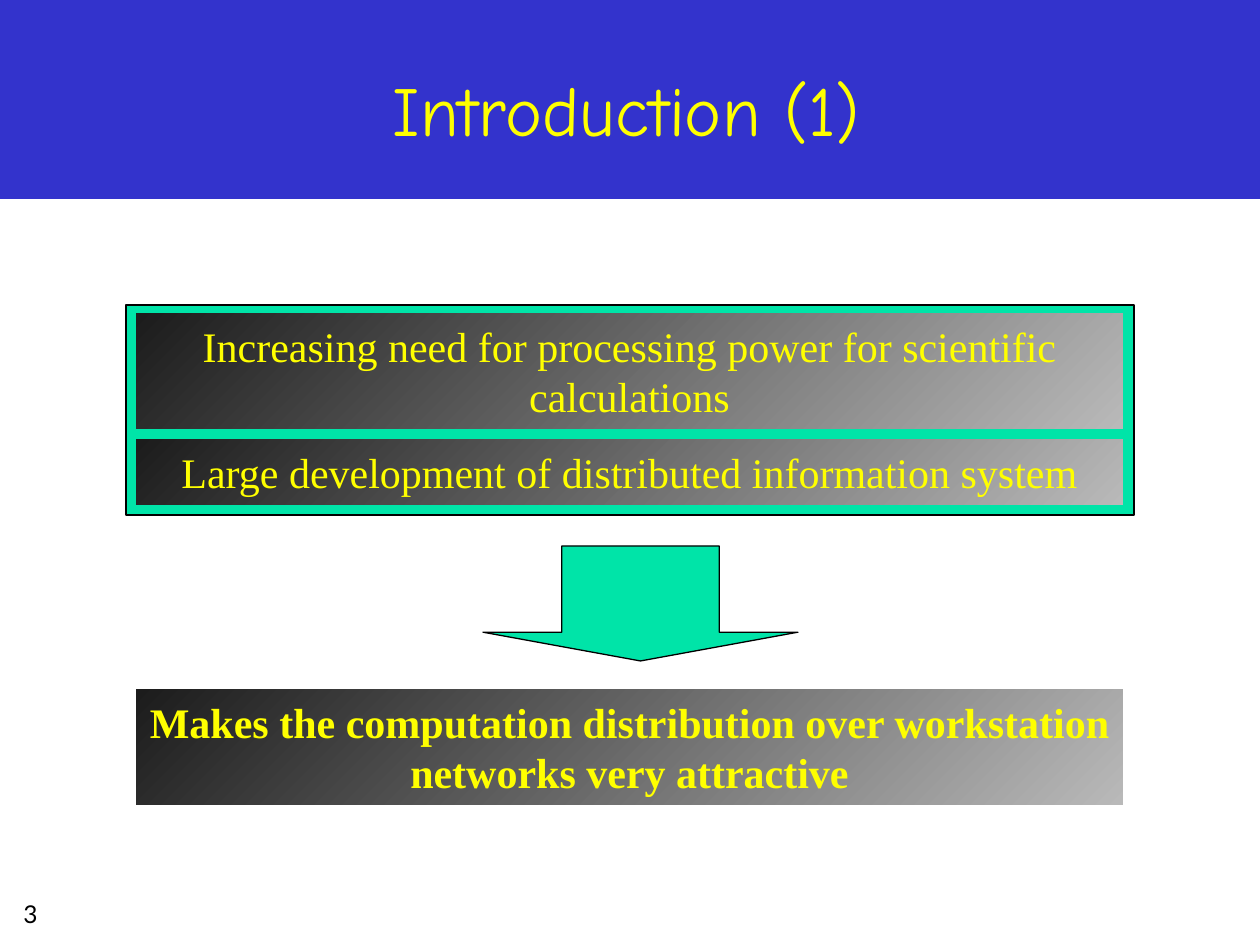
import pptx
import pptx.dml.color
import pptx.enum.shapes
import pptx.enum.text
import pptx.util

PX = 914400 / 126
SHAPE = pptx.enum.shapes.MSO_SHAPE
ANCHOR = pptx.enum.text.MSO_ANCHOR

BLUE, GREEN, YELLOW, BLACK = "3333CC", "00E4A8", "FFFF00", "000000"
LIGHT_GREY, DARK_GREY = "B9B9B9", "1C1C1C"

# left, top, width, height in px
BANNER = (0, 0, 1260, 199)
FRAME = (126, 305, 1008, 210)
ARROW = (483, 546, 315, 115)
TITLE = ("Introduction (1)", (21, 21, 1211, 136))
PAGE_NUMBER = ("3", (-42, 893, 145, 47))

STATEMENT_LEFT, STATEMENT_WIDTH = 136, 987
# text, top, height, bold
STATEMENTS = [
    ("Increasing need for processing power for scientific calculations", 314, 115, False),
    ("Large development of distributed information system", 440, 65, False),
    ("Makes the computation distribution over workstation networks very attractive", 690, 115, True),
]


def emu(*lengths):
    return [pptx.util.Emu(round(length * PX)) for length in lengths]


def rgb(value):
    return pptx.dml.color.RGBColor.from_string(value)


def add_solid(page, kind, place, fill, outlined=False):
    shape = page.shapes.add_shape(kind, *emu(*place))
    shape.shadow.inherit = False
    shape.fill.solid()
    shape.fill.fore_color.rgb = rgb(fill)
    if outlined:
        shape.line.color.rgb = rgb(BLACK)
        shape.line.width = pptx.util.Pt(0.75)
    else:
        shape.line.fill.background()
    return shape


def fade(shape):
    """Run a gradient from light at bottom right to dark at top left."""
    shape.fill.gradient()
    shape.fill.gradient_angle = 135
    for stop, value in zip(shape.fill.gradient_stops, (LIGHT_GREY, DARK_GREY)):
        stop.color.rgb = rgb(value)


def write(box, text, font, size, colour, bold=False, anchor=ANCHOR.TOP, wrap=True):
    frame = box.text_frame
    frame.word_wrap = wrap
    frame.vertical_anchor = anchor
    para = frame.paragraphs[0]
    para.alignment = pptx.enum.text.PP_ALIGN.CENTER
    span = para.add_run()
    span.text = text
    span.font.name = font
    span.font.size = pptx.util.Pt(size)
    span.font.bold = bold
    span.font.color.rgb = rgb(colour)


def main():
    deck = pptx.Presentation()
    deck.slide_width, deck.slide_height = emu(1260, 945)
    page = deck.slides.add_slide(deck.slide_layouts[6])

    add_solid(page, SHAPE.RECTANGLE, BANNER, BLUE)
    text, place = PAGE_NUMBER
    write(page.shapes.add_textbox(*emu(*place)), text, "Lato", 14, BLACK, wrap=False)
    text, place = TITLE
    write(page.shapes.add_textbox(*emu(*place)), text, "Comic Neue", 40, YELLOW,
          anchor=ANCHOR.BOTTOM)

    add_solid(page, SHAPE.RECTANGLE, FRAME, GREEN, outlined=True)
    arrow = add_solid(page, SHAPE.DOWN_ARROW, ARROW, GREEN, outlined=True)
    arrow.adjustments[0] = 0.5
    arrow.adjustments[1] = 0.25

    for text, top, height, bold in STATEMENTS:
        place = (STATEMENT_LEFT, top, STATEMENT_WIDTH, height)
        box = add_solid(page, SHAPE.RECTANGLE, place, DARK_GREY)
        fade(box)
        write(box, text, "Times New Roman", 24, YELLOW, bold)

    deck.save("out.pptx")


if __name__ == "__main__":
    main()
